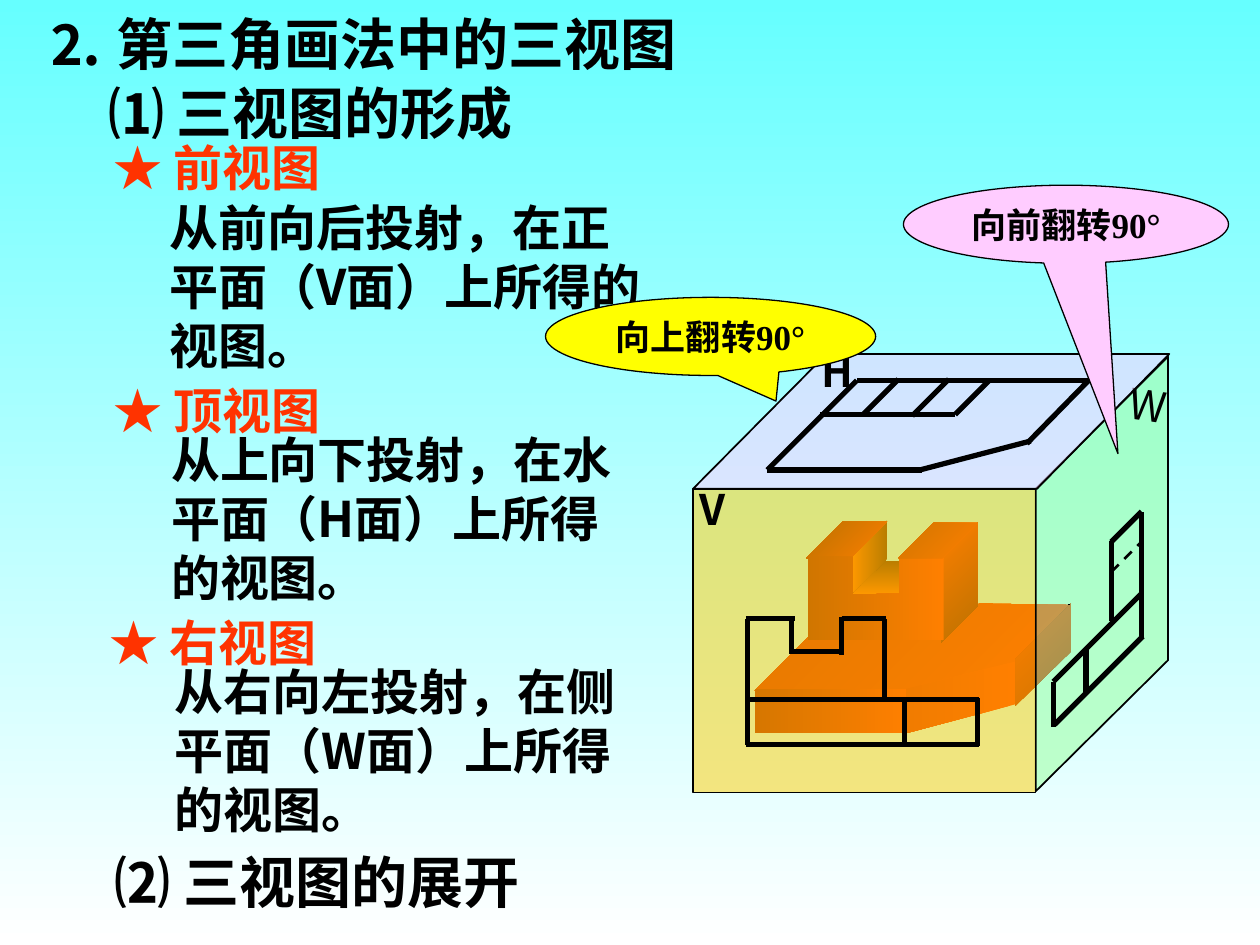
import pptx
import pptx.util
import pptx.dml.color
import pptx.enum.dml
import pptx.enum.shapes
import pptx.enum.text
import pptx.oxml.ns
import lxml.etree

SANS, SERIF = "Noto Sans CJK SC", "Times New Roman"
BLACK, RED = "000000", "FF3300"
SHAPE = pptx.enum.shapes.MSO_SHAPE
ALIGN = pptx.enum.text.PP_ALIGN
ANCHOR = pptx.enum.text.MSO_ANCHOR
FIT = pptx.enum.text.MSO_AUTO_SIZE

# Every length is in cells of a grid of 1000 columns by 750 rows.
WIDE, HIGH = 1000, 750
CELL = 9144

# left, top, width, height, text
HEADS = [
    (28, 2, 540, 64, "⒉ 第三角画法中的三视图"),
    (76, 57, 360, 64, "⑴ 三视图的形成"),
    (81, 667, 360, 64, "⑵ 三视图的展开"),
]
STARS = [
    (80, 104, 184, 57, "★ 前视图"),
    (80, 297, 184, 57, "★ 顶视图"),
    (77, 481, 184, 57, "★ 右视图"),
]
NOTES = [
    (125, 152, 394, 150, "从前向后投射，在正平面（V面）上所得的视图。"),
    (126, 336, 393, 150, "从上向下投射，在水平面（H面）上所得的视图。"),
    (129, 520, 395, 150, "从右向左投射，在侧平面（W面）上所得的视图。"),
]

# first colour, last colour, clockwise angle, corners
SOLID = [
    (RED, "CB2800", 225, [(642, 505), (599, 548), (721, 548), (807, 525),
                          (849, 480), (777, 479), (753, 504)]),
    ("752F00", "FF6600", 90, [(716, 472), (674, 472), (701, 445), (717, 445)]),
    ("752F00", "FF6600", 180, [(704, 413), (704, 444), (676, 471), (676, 442)]),
    (RED, "751700", 225, [(640, 443), (675, 443), (704, 414), (669, 414)]),
    ("751700", RED, 225, [(747, 442), (747, 510), (776, 481), (776, 415)]),
    (RED, "A12000", 180, [(641, 441), (641, 508), (749, 508), (749, 441),
                          (714, 441), (714, 471), (677, 472), (677, 442)]),
    (RED, "A12000", 225, [(713, 443), (748, 443), (776, 415), (741, 415)]),
    (RED, "AD2200", 180, [(599, 547), (599, 582), (721, 582), (721, 547)]),
    (RED, "E32D00", 180, [(719, 547), (719, 582), (806, 559), (806, 525)]),
    ("A12000", RED, 225, [(806, 523), (806, 560), (850, 517), (850, 479)]),
]

SIDE = [(927, 283), (822, 388), (822, 628), (927, 524)]
TOP = [(550, 388), (823, 388), (928, 281), (656, 281)]
FRONT = (550, 388, 272, 241)

# x1, y1, x2, y2
SIDE_VIEW = [
    (836, 541, 836, 577), (837, 575, 907, 505), (906, 506, 906, 406),
    (836, 541, 906, 471), (882, 493, 882, 429), (882, 430, 906, 406),
    (862, 515, 862, 551),
]
HIDDEN = (882, 454, 905, 431)
FRONT_VIEW = [
    (592, 491, 631, 491), (593, 491, 593, 591), (592, 591, 777, 591),
    (776, 592, 776, 554), (702, 556, 702, 491), (593, 555, 777, 555),
    (628, 492, 628, 519), (668, 490, 668, 520), (628, 517, 669, 517),
    (668, 491, 703, 491), (718, 555, 718, 591),
]
TOP_VIEW = [
    (609, 373, 732, 373), (730, 373, 818, 350), (815, 352, 864, 302),
    (609, 373, 680, 302), (680, 302, 864, 302), (651, 329, 758, 329),
    (758, 329, 785, 302), (685, 329, 713, 301), (724, 330, 753, 301),
]
# box, tip, colour, text
CALLS = [
    ((717, 147, 258, 62), (0.16, 2.935), "FFCCFF", "向前翻转90°"),
    ((433, 236, 262, 62), (0.198, 0.828), "FFFF00", "向上翻转90°"),
]

deck = pptx.Presentation()
deck.slide_width, deck.slide_height = WIDE * CELL, HIGH * CELL
slide = deck.slides.add_slide(deck.slide_layouts[6])
shapes = slide.shapes


def rgb(code):
    return pptx.dml.color.RGBColor.from_string(code)


def sub(node, tag, **attrs):
    return lxml.etree.SubElement(node, pptx.oxml.ns.qn(tag), **attrs)


def emu(cells):
    return [c * CELL for c in cells]


def blend(fill, first, last, angle):
    fill.gradient()
    fill.gradient_angle = (360 - angle) % 360
    for stop, code in zip(fill.gradient_stops, (first, last)):
        stop.color.rgb = rgb(code)


def paint(shape, code, width, alpha=None):
    """Flat fill with a black edge; alpha is a percentage."""
    shape.shadow.inherit = False
    shape.fill.solid()
    shape.fill.fore_color.rgb = rgb(code)
    if alpha:
        tint = shape.fill._xPr.find(".//" + pptx.oxml.ns.qn("a:srgbClr"))
        sub(tint, "a:alpha", val=str(alpha * 1000))
    shape.line.color.rgb = rgb(BLACK)
    shape.line.width = pptx.util.Pt(width)


def write(shape, text, size, code=BLACK, bold=True, wrap=False, align=ALIGN.LEFT,
          anchor=ANCHOR.MIDDLE, face=SANS, fit=FIT.SHAPE_TO_FIT_TEXT):
    frame = shape.text_frame
    frame.text = text
    frame.word_wrap = wrap
    frame.auto_size = fit
    frame.vertical_anchor = anchor
    para = frame.paragraphs[0]
    para.alignment = align
    run = para.runs[0]
    run.font.size = pptx.util.Pt(size)
    run.font.bold = bold
    run.font.color.rgb = rgb(code)
    run.font.name = face
    sub(run.font._element, "a:ea", typeface=SANS)
    return run


def label(box, text, size, **style):
    shape = shapes.add_textbox(*emu(box))
    return shape, write(shape, text, size, **style)


def outline(points):
    pen = shapes.build_freeform(*points[0], scale=CELL)
    pen.add_line_segments(points[1:], close=True)
    shape = pen.convert_to_shape()
    shape.shadow.inherit = False
    return shape


def stroke(ends, width=3):
    line = shapes.add_connector(pptx.enum.shapes.MSO_CONNECTOR.STRAIGHT, *emu(ends))
    line.line.color.rgb = rgb(BLACK)
    line.line.width = pptx.util.Pt(width)
    sub(line._element.spPr, "a:effectLst")
    return line


blend(slide.background.fill, "66FFFF", "FFFFFF", 90)

for *box, text in HEADS:
    label(box, text, 32, wrap=True, fit=FIT.NONE)
for *box, text in STARS:
    label(box, text, 28, code=RED)
for *box, text in NOTES:
    label(box, text, 28, wrap=True)

for first, last, angle, points in SOLID:
    face = outline(points)
    blend(face.fill, first, last, angle)
    face.line.fill.background()

paint(outline(SIDE), "99FF99", 1, 50)
mark, run = label((893, 295, 14, 49), "W", 24, bold=False, fit=FIT.NONE)
mark.rotation = 8.4
edge = lxml.etree.Element(pptx.oxml.ns.qn("a:ln"), w="9525")
sub(sub(edge, "a:solidFill"), "a:srgbClr", val=BLACK)
run.font._element.insert(0, edge)
for ends in SIDE_VIEW:
    stroke(ends)
stroke(HIDDEN, 1.5).line.dash_style = pptx.enum.dml.MSO_LINE.DASH

paint(outline(TOP), "FFCCFF", 1, 50)
label((642, 269, 45, 50), "H", 24, align=ALIGN.CENTER, anchor=ANCHOR.TOP)
stroke((848, 480, 849, 480), 0.75)

paint(shapes.add_shape(SHAPE.RECTANGLE, *emu(FRONT)), "FFCC00", 0.75, 50)
label((545, 379, 41, 50), "V", 24, align=ALIGN.CENTER)
for ends in FRONT_VIEW + TOP_VIEW:
    stroke(ends)

for box, tip, code, text in CALLS:
    call = shapes.add_shape(SHAPE.OVAL_CALLOUT, *emu(box))
    call.adjustments[0], call.adjustments[1] = tip
    paint(call, code, 0.75)
    write(call, text, 20, wrap=True, align=ALIGN.CENTER, face=SERIF)

deck.save("out.pptx")
